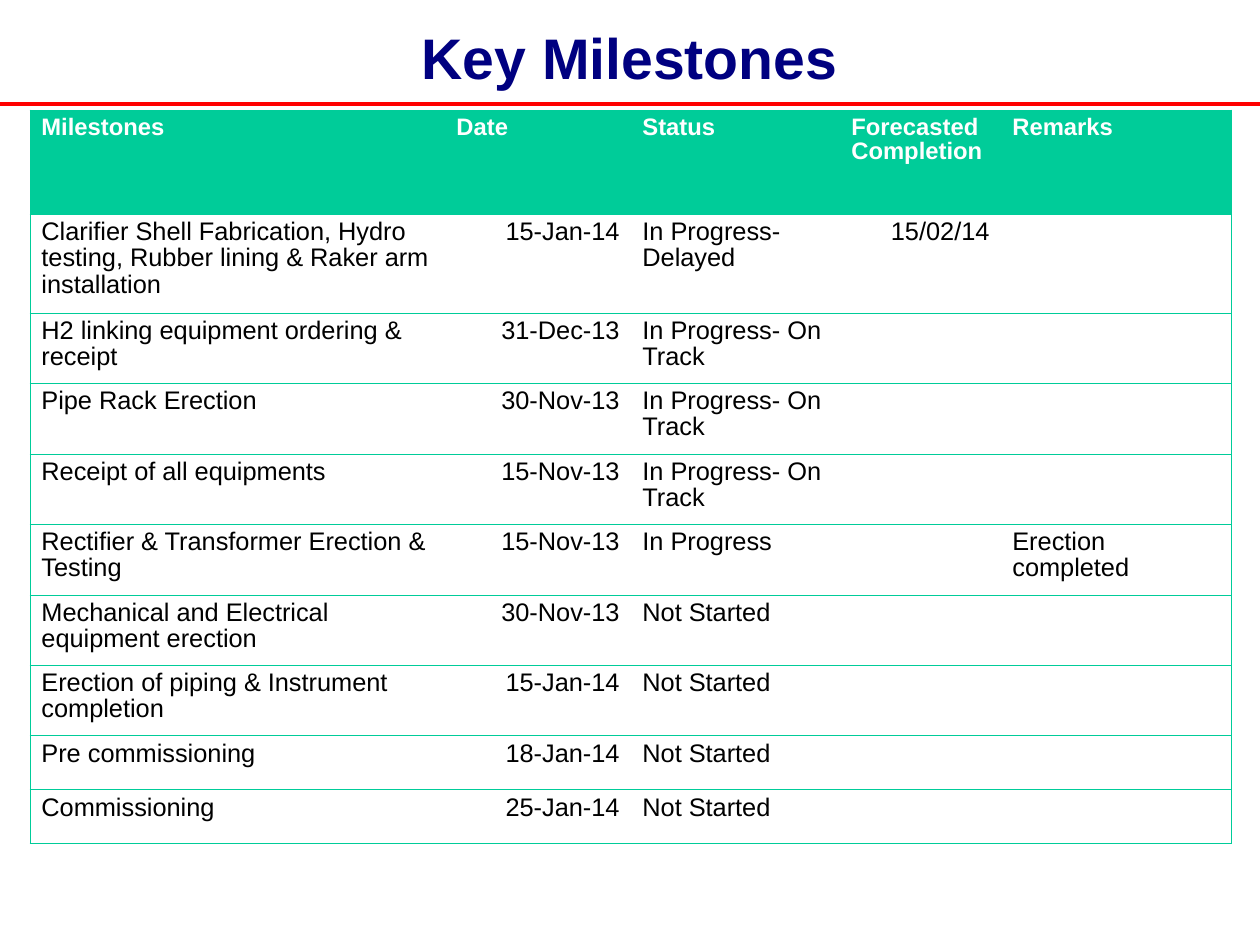
from dataclasses import dataclass

from lxml.etree import SubElement
from pptx import Presentation
from pptx.dml.color import RGBColor
from pptx.enum.shapes import MSO_CONNECTOR
from pptx.enum.text import MSO_ANCHOR, PP_ALIGN
from pptx.oxml.ns import qn
from pptx.util import Pt

PX = 8000  # EMU per px


@dataclass(frozen=True)
class Theme:
    font: str = "Arial"
    navy: str = "000080"
    red: str = "FF0000"
    green: str = "00CC99"
    white: str = "FFFFFF"
    black: str = "000000"
    title_size: int = 36
    header_size: int = 15
    body_size: int = 16
    rule_width: float = 2.83
    border_width: float = 0.45
    line_spacing: float = 0.93


THEME = Theme()

COLUMN_WIDTHS = [415, 186, 209, 161, 230]
ROW_HEIGHTS = [104, 99] + [70, 71] * 3 + [54, 54]
RIGHT_ALIGNED = {1, 3}  # dates and forecasts

HEADER = ["Milestones", "Date", "Status", "Forecasted Completion", "Remarks"]
MILESTONES = [
    ["Clarifier Shell Fabrication, Hydro testing, Rubber lining & Raker arm installation",
     "15-Jan-14", "In Progress- Delayed", "15/02/14", ""],
    ["H2 linking equipment ordering & receipt", "31-Dec-13", "In Progress- On Track", "", ""],
    ["Pipe Rack Erection", "30-Nov-13", "In Progress- On Track", "", ""],
    ["Receipt of all equipments", "15-Nov-13", "In Progress- On Track", "", ""],
    ["Rectifier & Transformer Erection & Testing", "15-Nov-13", "In Progress", "",
     "Erection completed"],
    ["Mechanical and Electrical equipment erection", "30-Nov-13", "Not Started", "", ""],
    ["Erection of piping & Instrument completion", "15-Jan-14", "Not Started", "", ""],
    ["Pre commissioning", "18-Jan-14", "Not Started", "", ""],
    ["Commissioning", "25-Jan-14", "Not Started", "", ""],
]


def px(*lengths):
    return [length * PX for length in lengths]


def set_attrs(obj, values):
    for name, value in values.items():
        setattr(obj, name, value)


def write(p, text, size, color, bold):
    r = p.add_run()
    r.text = text
    set_attrs(r.font, {"name": THEME.font, "size": Pt(size), "bold": bold})
    r.font.color.rgb = RGBColor.from_string(color)


def add_title(slide, box, text):
    tf = slide.shapes.add_textbox(*px(*box)).text_frame
    set_attrs(tf, {"word_wrap": True, "vertical_anchor": MSO_ANCHOR.MIDDLE,
                   "margin_left": 0, "margin_right": 0,
                   "margin_top": 0, "margin_bottom": 0})
    p = tf.paragraphs[0]
    p.alignment = PP_ALIGN.CENTER
    write(p, text, THEME.title_size, THEME.navy, True)


def add_rule(slide, box):
    x, y, w, h = box
    line = slide.shapes.add_connector(MSO_CONNECTOR.STRAIGHT, *px(x, y, x + w, y + h))
    line.line.color.rgb = RGBColor.from_string(THEME.red)
    line.line.width = Pt(THEME.rule_width)
    SubElement(line._element.spPr, qn("a:effectLst"))


def set_borders(cell, visible):
    tcPr = cell._tc.get_or_add_tcPr()
    for side in "LRTB":
        ln = SubElement(tcPr, qn(f"a:ln{side}"), w=str(Pt(THEME.border_width)))
        if side in visible:
            fill = SubElement(ln, qn("a:solidFill"))
            SubElement(fill, qn("a:srgbClr"), val=THEME.green)
        else:
            SubElement(ln, qn("a:noFill"))


def add_milestone_table(slide, box, rows):
    table = slide.shapes.add_table(len(rows), len(HEADER), *px(*box)).table
    table.horz_banding = False
    for column, width in zip(table.columns, COLUMN_WIDTHS):
        column.width = width * PX
    for row, height in zip(table.rows, ROW_HEIGHTS):
        row.height = height * PX

    for i, row in enumerate(rows):
        is_header = i == 0
        for j, text in enumerate(row):
            cell = table.cell(i, j)
            # Outer verticals only, every horizontal
            set_borders(cell, "TB" + "L" * (j == 0) + "R" * (j == len(row) - 1))
            cell.fill.solid()
            cell.fill.fore_color.rgb = RGBColor.from_string(
                THEME.green if is_header else THEME.white)
            if not text:
                continue
            p = cell.text_frame.paragraphs[0]
            p.line_spacing = THEME.line_spacing
            if is_header:
                write(p, text, THEME.header_size, THEME.white, True)
            else:
                p.alignment = PP_ALIGN.RIGHT if j in RIGHT_ALIGNED else PP_ALIGN.LEFT
                write(p, text, THEME.body_size, THEME.black, False)


def main():
    prs = Presentation()
    prs.slide_width, prs.slide_height = px(1260, 945)
    slide = prs.slides.add_slide(prs.slide_layouts[6])

    # Heading
    add_rule(slide, (0, 104, 1260, 0))
    add_title(slide, (63, 14, 1133, 86), "Key Milestones")

    # Milestones
    add_milestone_table(slide, (30, 110, sum(COLUMN_WIDTHS), sum(ROW_HEIGHTS)),
                        [HEADER] + MILESTONES)
    prs.save("out.pptx")


if __name__ == "__main__":
    main()
